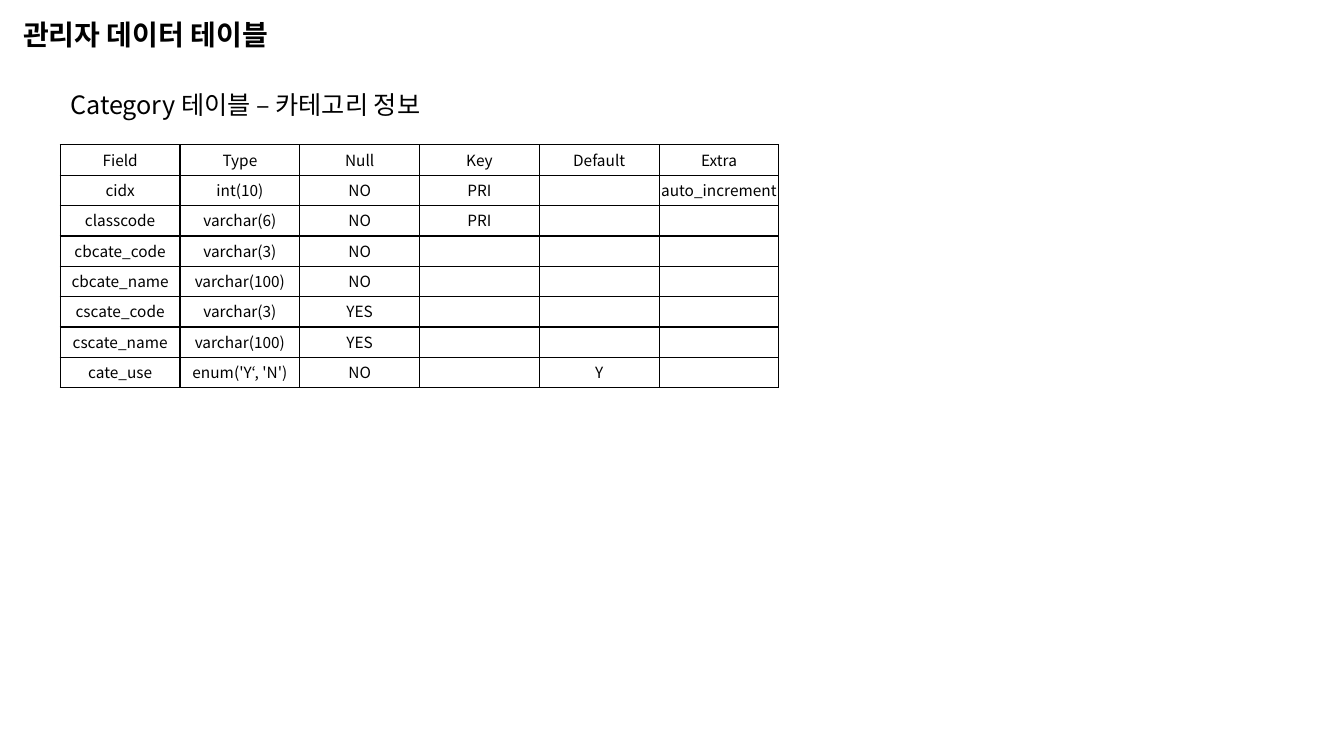
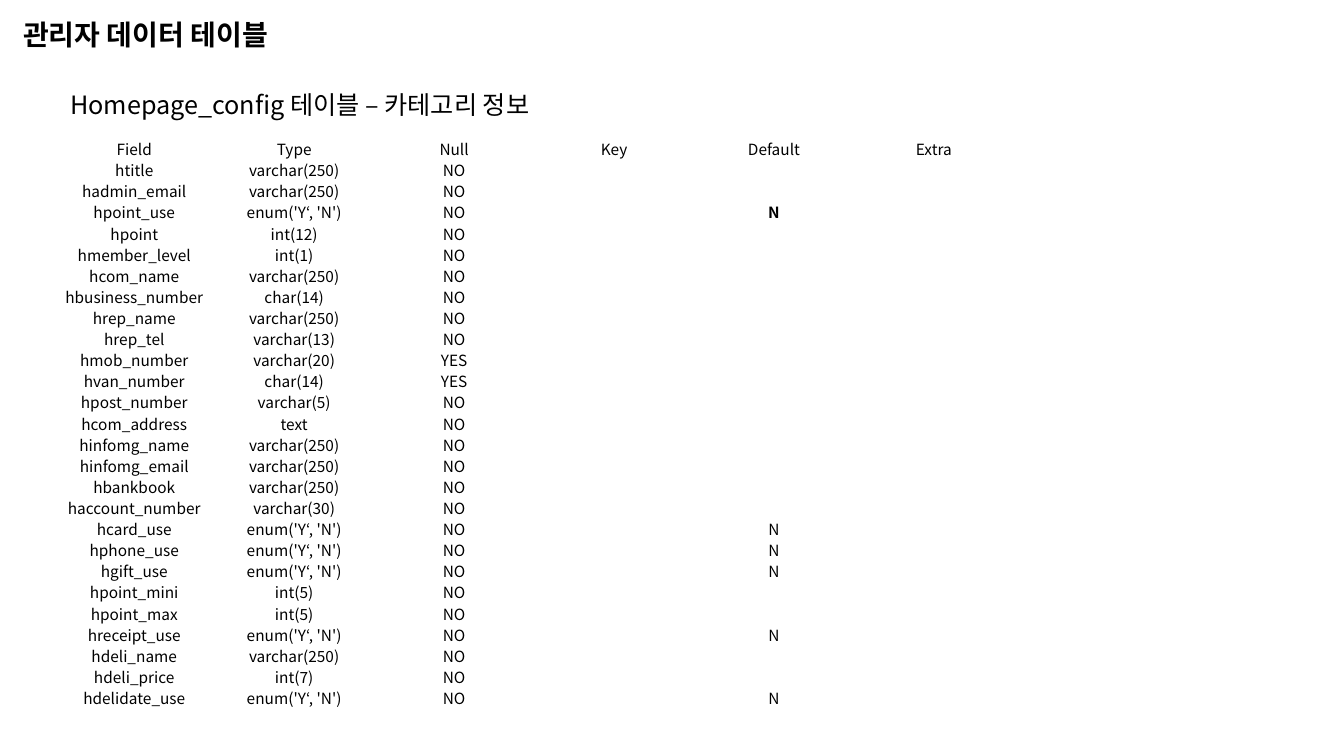
"""Build two slides that describe the tables of an admin database."""
import itertools

import lxml.etree
import pptx
import pptx.dml.color
import pptx.enum.text
import pptx.oxml.ns
import pptx.util

FONT = "Noto Sans CJK KR"
INK = "000000"
TITLE = "관리자 데이터 테이블"
YES_NO = "enum('Y‘, 'N')"
HEADER = ("Field", "Type", "Null", "Key", "Default", "Extra")
CATEGORY_FIELDS = [
    ("cidx", "int(10)", "NO", "PRI", "", "auto_increment"),
    ("classcode", "varchar(6)", "NO", "PRI"),
    ("cbcate_code", "varchar(3)", "NO"),
    ("cbcate_name", "varchar(100)", "NO"),
    ("cscate_code", "varchar(3)", "YES"),
    ("cscate_name", "varchar(100)", "YES"),
    ("cate_use", YES_NO, "NO", "", "Y"),
]
HOMEPAGE_FIELDS = [
    ("htitle", "varchar(250)", "NO"),
    ("hadmin_email", "varchar(250)", "NO"),
    ("hpoint_use", YES_NO, "NO", "", "N"),
    ("hpoint", "int(12)", "NO"),
    ("hmember_level", "int(1)", "NO"),
    ("hcom_name", "varchar(250)", "NO"),
    ("hbusiness_number", "char(14)", "NO"),
    ("hrep_name", "varchar(250)", "NO"),
    ("hrep_tel", "varchar(13)", "NO"),
    ("hmob_number", "varchar(20)", "YES"),
    ("hvan_number", "char(14)", "YES"),
    ("hpost_number", "varchar(5)", "NO"),
    ("hcom_address", "text", "NO"),
    ("hinfomg_name", "varchar(250)", "NO"),
    ("hinfomg_email", "varchar(250)", "NO"),
    ("hbankbook", "varchar(250)", "NO"),
    ("haccount_number", "varchar(30)", "NO"),
    ("hcard_use", YES_NO, "NO", "", "N"),
    ("hphone_use", YES_NO, "NO", "", "N"),
    ("hgift_use", YES_NO, "NO", "", "N"),
    ("hpoint_mini", "int(5)", "NO"),
    ("hpoint_max", "int(5)", "NO"),
    ("hreceipt_use", YES_NO, "NO", "", "N"),
    ("hdeli_name", "varchar(250)", "NO"),
    ("hdeli_price", "int(7)", "NO"),
    ("hdelidate_use", YES_NO, "NO", "", "N"),
]


def rgb(value):
    """Turn a hex string into a colour."""
    return pptx.dml.color.RGBColor.from_string(value)


def cm(*lengths):
    """Turn numbers into lengths in centimetres."""
    return [pptx.util.Cm(length) for length in lengths]


def add_element(parent, tag, **attributes):
    """Append a DrawingML element to its parent."""
    return lxml.etree.SubElement(parent, pptx.oxml.ns.qn(tag), attributes)


def write(frame, text, size=11, bold=False, color=INK, align="LEFT", leading=None):
    """Fill a text frame with one formatted paragraph."""
    paragraph = frame.paragraphs[0]
    paragraph.alignment = getattr(pptx.enum.text.PP_ALIGN, align)
    if leading:
        paragraph.line_spacing = pptx.util.Pt(leading)
    if not text:
        add_element(paragraph._p, "a:endParaRPr", sz=str(size * 100))
        return
    run = paragraph.add_run()
    run.text = text
    run.font.name = FONT
    run.font.size = pptx.util.Pt(size)
    run.font.bold = bold
    run.font.color.rgb = rgb(color)
    add_element(run.font._element, "a:ea", typeface=FONT)


def write_heading(shape, text, **text_format):
    """Write a heading that starts at the top of its shape."""
    frame = shape.text_frame
    frame.word_wrap = True
    frame.auto_size = pptx.enum.text.MSO_AUTO_SIZE.NONE
    frame.vertical_anchor = pptx.enum.text.MSO_ANCHOR.TOP
    frame.margin_top = frame.margin_bottom = 0
    write(frame, text, **text_format)


def add_borders(cell, color=INK, width=1):
    """Draw a solid line on every side of a cell."""
    properties = cell._tc.get_or_add_tcPr()
    for index, side in enumerate("LRTB"):
        line = add_element(properties, f"a:ln{side}", w=str(pptx.util.Pt(width)))
        add_element(add_element(line, "a:solidFill"), "a:srgbClr", val=color)
        properties.insert(index, line)


def add_field_table(slide, fields, box, bordered=False, bold_cells=()):
    """Add a table of field definitions below its header row."""
    rows = [HEADER, *fields]
    table = slide.shapes.add_table(len(rows), len(HEADER), *cm(*box)).table
    table.first_row = table.horz_banding = False
    for row, column in itertools.product(range(len(rows)), range(len(HEADER))):
        cell = table.cell(row, column)
        cell.fill.background()
        cell.vertical_anchor = pptx.enum.text.MSO_ANCHOR.MIDDLE
        cell.margin_left = cell.margin_right = cell.margin_top = cell.margin_bottom = 0
        text = rows[row][column] if column < len(rows[row]) else ""
        write(cell.text_frame, text, bold=(row, column) in bold_cells,
              align="CENTER", leading=15)
        if bordered:
            add_borders(cell)


def add_table_slide(deck, table_name):
    """Add a slide with the shared title and a heading for one table."""
    slide = deck.slides.add_slide(deck.slide_layouts[5])
    title = slide.shapes.title
    title.left, title.top, title.width, title.height = cm(0.33, 0.43, 14.05, 1.12)
    write_heading(title, TITLE, size=20, bold=True)
    heading = slide.shapes.add_textbox(*cm(1.52, 2.24, 14.53, 1.02))
    write_heading(heading, f"{table_name} 테이블 – 카테고리 정보", size=18)
    return slide


def main():
    """Build and save the deck."""
    deck = pptx.Presentation()
    deck.slide_width, deck.slide_height = cm(33.87, 19.05)
    category = add_table_slide(deck, "Category")
    add_field_table(category, CATEGORY_FIELDS, (1.52, 3.65, 18.11, 6.12), bordered=True)
    homepage = add_table_slide(deck, "Homepage_config")
    add_field_table(homepage, HOMEPAGE_FIELDS, (1.37, 3.5, 24.18, 14.38),
                    bold_cells={(3, HEADER.index("Default"))})
    deck.save("out.pptx")


if __name__ == "__main__":
    main()
